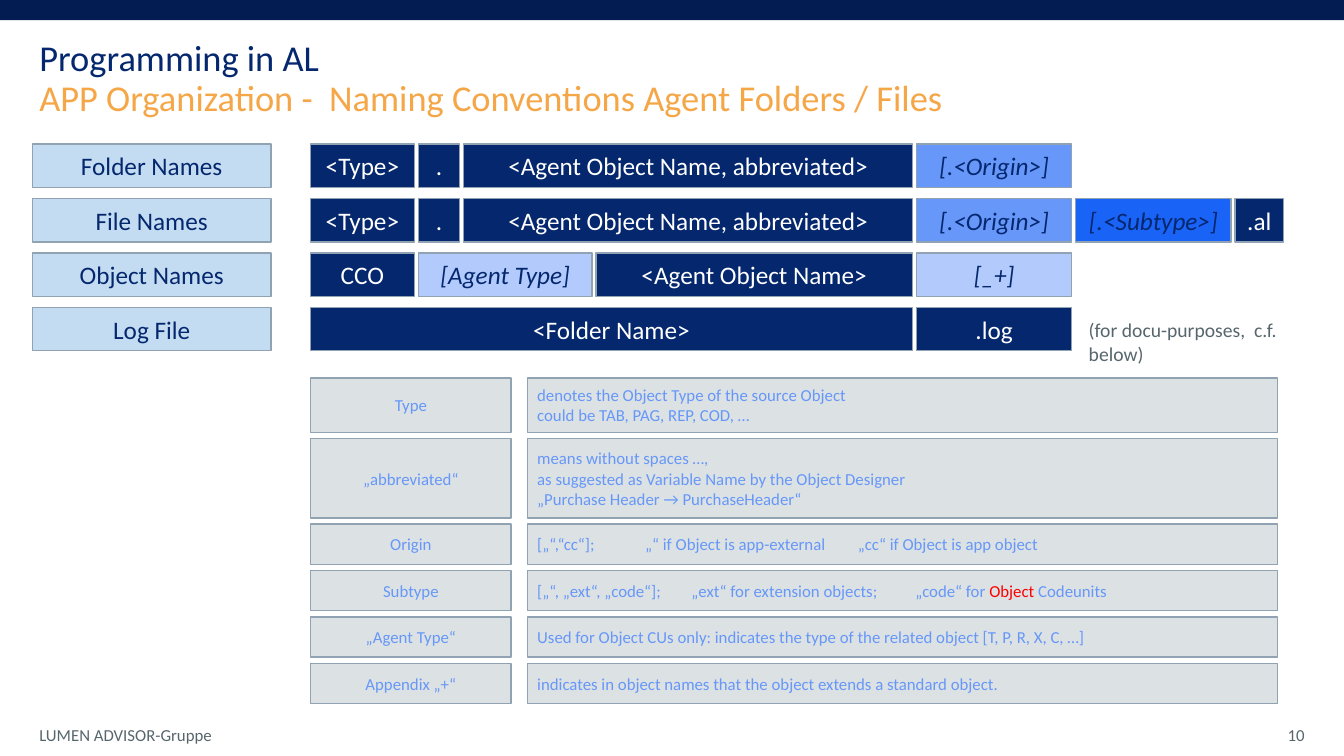
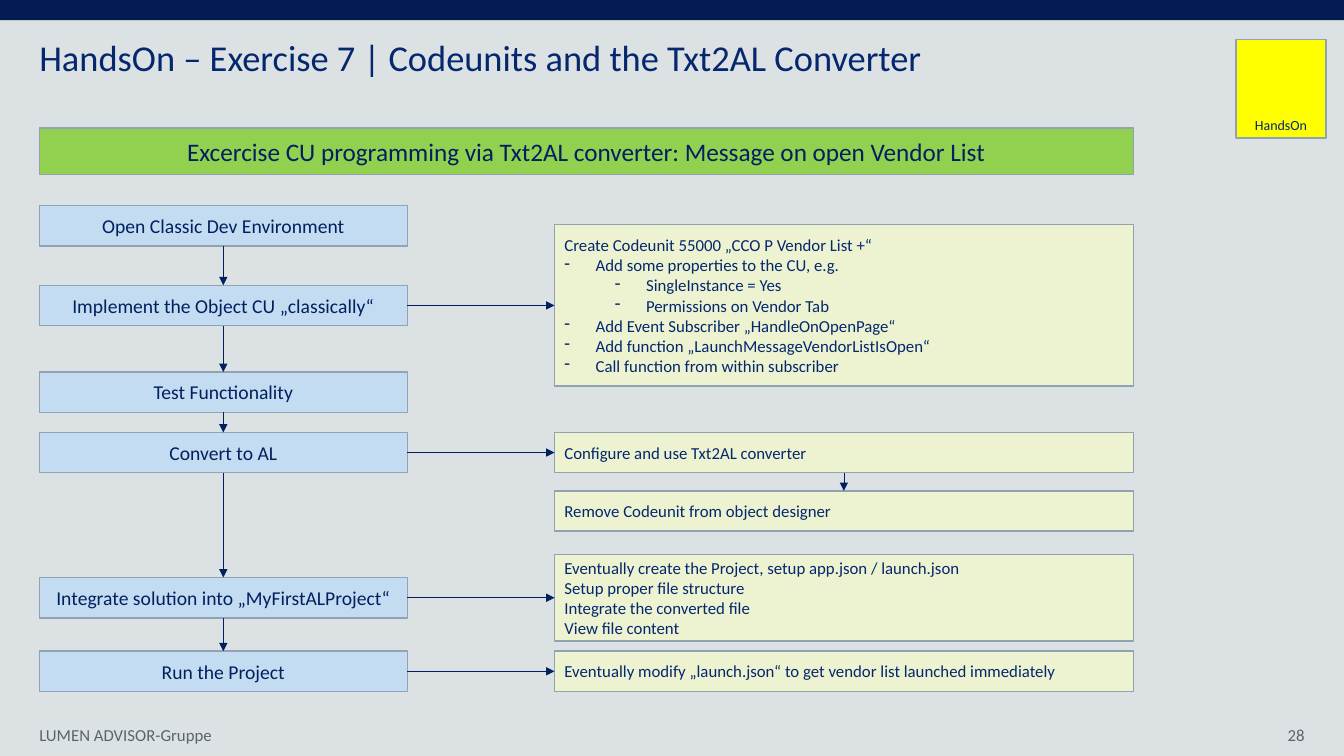
import pptx
import pptx.util
import pptx.dml.color
import pptx.enum.shapes
import pptx.enum.text
import pptx.oxml.ns
from lxml import etree
from dataclasses import dataclass

Inches = pptx.util.Inches
Pt = pptx.util.Pt
RGB = pptx.dml.color.RGBColor.from_string
qn = pptx.oxml.ns.qn
ALIGN = pptx.enum.text.PP_ALIGN
ANCHOR = pptx.enum.text.MSO_ANCHOR


@dataclass(frozen=True)
class Theme:
    font: str = "Calibri"
    band: str = "031D52"
    navy: str = "04276E"
    ink: str = "002060"
    orange: str = "F5A748"
    muted: str = "57666D"
    border: str = "91A3B2"
    white: str = "FFFFFF"
    grey: str = "DCE1E3"
    label: str = "C4DCF1"
    pale: str = "B3CBFC"
    mid: str = "6697F9"
    vivid: str = "1A63F7"
    detail: str = "EDF2D0"
    green: str = "92D050"
    yellow: str = "FFFF00"
    red: str = "FF0000"
    title_size: int = 26
    large: int = 18
    medium: int = 14
    small: int = 12
    tiny: int = 10


T = Theme()

FOOTER = "LUMEN ADVISOR-Gruppe"

NAME_ROWS = [
    ("Folder Names", [
        ("<Type>", 1.03, T.navy), (".", 0.41, T.navy),
        ("<Agent Object Name, abbreviated>", 4.45, T.navy),
        ("[.<Origin>]", 1.54, T.mid)]),
    ("File Names", [
        ("<Type>", 1.03, T.navy), (".", 0.41, T.navy),
        ("<Agent Object Name, abbreviated>", 4.45, T.navy),
        ("[.<Origin>]", 1.54, T.mid),
        ("[.<Subtype>]", 1.54, T.vivid), (".al", 0.48, T.navy)]),
    ("Object Names", [
        ("CCO", 1.03, T.navy), ("[Agent Type]", 1.72, T.pale),
        ("<Agent Object Name>", 3.14, T.navy), ("[_+]", 1.54, T.pale)]),
    ("Log File", [
        ("<Folder Name>", 5.97, T.navy), (".log", 1.54, T.navy)]),
]
LOG_NOTE = "(for docu-purposes,  c.f. below)"

DEFINITIONS = [
    ("Type", 0.54, ["denotes the Object Type of the source Object",
                    "could be TAB, PAG, REP, COD, …"]),
    ("„abbreviated“", 0.79, [
        "means without spaces …,",
        "as suggested as Variable Name by the Object Designer",
        "„Purchase Header → PurchaseHeader“"]),
    ("Origin", 0.4, [{
        "runs": [("[„“,“cc“];\t„“ if Object is app-external"
                  "\t„cc“ if Object is app object", None)],
        "tabs": [1.07, 3.18]}]),
    ("Subtype", 0.4, [{
        "runs": [("[„“, „ext“, „code“];\t„ext“ for extension objects;"
                  "\t„code“ for ", None),
                 ("Object", T.red), (" Codeunits", None)],
        "tabs": [1.53, 3.75]}]),
    ("„Agent Type“", 0.4, [
        "Used for Object CUs only: indicates the type of the related object "
        "[T, P, R, X, C, …]"]),
    ("Appendix „+“", 0.4, [
        "indicates in object names that the object extends a standard object."]),
]


def bullet(text, level=0):
    return {"runs": [(text, None)], "bullet": level}


GOAL = "Excercise CU programming via Txt2AL converter: Message on open Vendor List"
STEPS = [
    ("Open Classic Dev Environment", 2.04),
    ("Implement the Object CU „classically“", 2.83),
    ("Test Functionality", 3.69),
    ("Convert to AL", 4.29),
    ("Integrate solution into „MyFirstALProject“", 5.73),
    ("Run the Project", 6.46),
]
DETAILS = [
    (1, 2.23, 1.6, [
        "Create Codeunit 55000 „CCO P Vendor List +“",
        bullet("Add some properties to the CU, e.g."),
        bullet("SingleInstance = Yes", 1),
        bullet("Permissions on Vendor Tab", 1),
        bullet("Add Event Subscriber „HandleOnOpenPage“"),
        bullet("Add function „LaunchMessageVendorListIsOpen“"),
        bullet("Call function from within subscriber")]),
    (3, 4.29, 0.4, ["Configure and use Txt2AL converter"]),
    (None, 4.87, 0.4, ["Remove Codeunit from object designer"]),
    (4, 5.5, 0.86, [
        "Eventually create the Project, setup app.json / launch.json",
        "Setup proper file structure",
        "Integrate the converted file",
        "View file content"]),
    (5, 6.46, 0.4, [
        "Eventually modify „launch.json“ to get vendor list launched immediately"]),
]


def write(sp, paras, size=T.small, color=T.navy, align=ALIGN.LEFT,
          anchor=ANCHOR.MIDDLE, italic=False, inset=None, spacing=None, wrap=True):
    tf = sp.text_frame
    tf.word_wrap = wrap
    tf.vertical_anchor = anchor
    if inset is not None:
        tf.margin_left = tf.margin_right = Inches(inset)
        tf.margin_top = tf.margin_bottom = Inches(inset)
    for i, para in enumerate([paras] if isinstance(paras, str) else paras):
        if isinstance(para, str):
            para = {"runs": [(para, None)]}
        p = tf.paragraphs[0] if i == 0 else tf.add_paragraph()
        p.alignment = align
        if spacing:
            p.line_spacing = spacing
        pPr = p._p.get_or_add_pPr()
        if "bullet" in para:
            p.level = para["bullet"]
            pPr.set("marL", str(Inches(0.31 + 0.5 * para["bullet"])))
            pPr.set("indent", str(-Inches(0.31)))
            etree.SubElement(pPr, qn("a:buChar")).set("char", "-")
        if "tabs" in para:
            stops = etree.SubElement(pPr, qn("a:tabLst"))
            for pos in para["tabs"]:
                etree.SubElement(stops, qn("a:tab"), pos=str(Inches(pos)), algn="l")
        for text, run_color in para["runs"]:
            r = p.add_run()
            r.text = text
            r.font.name = T.font
            r.font.size = Pt(size)
            r.font.italic = italic
            r.font.color.rgb = RGB(run_color or color)


def add_box(s, x, y, w, h, fill, paras=None, border=T.border, **fmt):
    sp = s.shapes.add_shape(pptx.enum.shapes.MSO_SHAPE.RECTANGLE,
                            Inches(x), Inches(y), Inches(w), Inches(h))
    sp.shadow.inherit = False
    sp.fill.solid()
    sp.fill.fore_color.rgb = RGB(fill)
    if border:
        sp.line.color.rgb = RGB(border)
        sp.line.width = Pt(1)
    else:
        sp.line.fill.background()
    if paras:
        write(sp, paras, **fmt)
    return sp


def add_text(s, x, y, w, h, paras, **fmt):
    sp = s.shapes.add_textbox(Inches(x), Inches(y), Inches(w), Inches(h))
    write(sp, paras, **fmt)


def add_arrow(s, start, start_side, end, end_side):
    c = s.shapes.add_connector(pptx.enum.shapes.MSO_CONNECTOR.STRAIGHT, 0, 0, 0, 0)
    c.begin_connect(start, start_side)
    c.end_connect(end, end_side)
    c.line.color.rgb = RGB(T.ink)
    c.line.width = Pt(0.5)
    spPr = c._element.spPr
    etree.SubElement(spPr.find(qn("a:ln")), qn("a:tailEnd")).set("type", "triangle")
    etree.SubElement(spPr, qn("a:effectLst"))


def add_slide(prs, title, number, background):
    s = prs.slides.add_slide(prs.slide_layouts[6])
    s.background.fill.solid()
    s.background.fill.fore_color.rgb = RGB(background)
    add_box(s, 0, 0, 13.33, 0.2, T.band, border=None)
    add_text(s, 0.39, 0.4, 12.54, 0.79, title, size=T.title_size,
             anchor=ANCHOR.TOP, inset=0, spacing=0.9)
    add_text(s, 0.39, 7.09, 3, 0.4, FOOTER, color=T.muted, inset=0)
    add_text(s, 10.18, 7.09, 2.76, 0.4, number, color=T.muted,
             align=ALIGN.RIGHT, inset=0)
    return s


def build_naming(prs):
    title = ["Programming in AL", {"runs": [
        ("APP Organization -  Naming Conventions Agent Folders / Files", T.orange)]}]
    s = add_slide(prs, title, "10", T.white)
    left, top, pitch, height, gap = 3.08, 1.43, 0.54, 0.43, 0.04
    for i, (label, parts) in enumerate(NAME_ROWS):
        y = top + i * pitch
        add_box(s, 0.32, y, 2.37, height, T.label, label,
                size=T.large, align=ALIGN.CENTER)
        x = left
        for text, width, fill in parts:
            fixed = fill == T.navy
            add_box(s, x, y, width, height, fill, text, size=T.large,
                    color=T.white if fixed else T.navy,
                    italic=not fixed, align=ALIGN.CENTER)
            x += width + gap
    add_text(s, 10.7, 3.11, 2.6, 0.34, LOG_NOTE, size=T.medium,
             color=T.muted, anchor=ANCHOR.TOP, wrap=False)
    y = 3.75
    for term, height, meaning in DEFINITIONS:
        add_box(s, left, y, 1.99, height, T.grey, term, color=T.mid,
                align=ALIGN.CENTER)
        add_box(s, 5.23, y, 7.44, height, T.grey, meaning, color=T.mid)
        y += height + 0.06


def build_exercise(prs):
    s = add_slide(prs, "HandsOn – Exercise 7 | Codeunits and the Txt2AL Converter",
                  "28", T.grey)
    add_box(s, 12.26, 0.39, 0.89, 0.98, T.yellow, "HandsOn", size=T.tiny,
            align=ALIGN.CENTER, anchor=ANCHOR.BOTTOM)
    add_box(s, 0.39, 1.27, 10.85, 0.46, T.green, GOAL, size=T.large,
            color=T.ink, align=ALIGN.CENTER)
    steps = [add_box(s, 0.39, y, 3.65, 0.4, T.label, text, size=T.medium,
                     color=T.ink, align=ALIGN.CENTER) for text, y in STEPS]
    for upper, lower in zip(steps, steps[1:]):
        add_arrow(s, upper, 2, lower, 0)
    previous = None
    for step, y, height, paras in DETAILS:
        detail = add_box(s, 5.5, y, 5.74, height, T.detail, paras)
        if step is None:
            add_arrow(s, previous, 2, detail, 0)
        else:
            add_arrow(s, steps[step], 3, detail, 1)
        previous = detail


def main():
    prs = pptx.Presentation()
    prs.slide_width = Inches(13.33)
    prs.slide_height = Inches(7.5)
    build_naming(prs)
    build_exercise(prs)
    prs.save("out.pptx")


if __name__ == "__main__":
    main()
